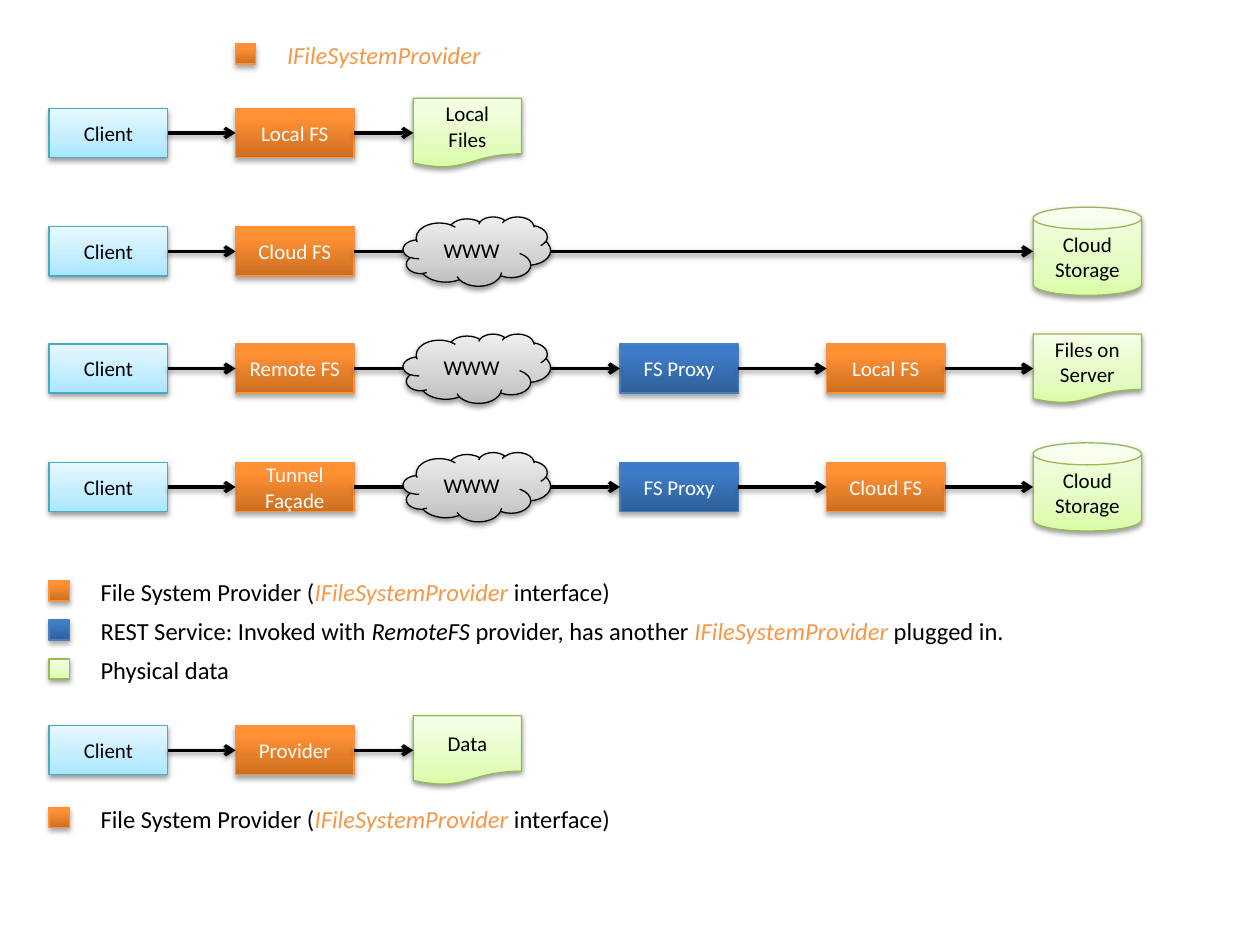
from lxml import etree
from pptx import Presentation
from pptx.dml.color import RGBColor
from pptx.enum.shapes import MSO_CONNECTOR, MSO_SHAPE
from pptx.enum.text import MSO_ANCHOR, MSO_AUTO_SIZE, PP_ALIGN
from pptx.oxml.ns import qn
from pptx.util import Inches, Pt

RECT = MSO_SHAPE.RECTANGLE
CAN = MSO_SHAPE.CAN
DOCUMENT = MSO_SHAPE.FLOWCHART_DOCUMENT
CLOUD = MSO_SHAPE.CLOUD
STRAIGHT = MSO_CONNECTOR.STRAIGHT
MIDDLE = MSO_ANCHOR.MIDDLE
CENTER = PP_ALIGN.CENTER
FIT_SHAPE = MSO_AUTO_SIZE.SHAPE_TO_FIT_TEXT
LEFT_SIDE, RIGHT_SIDE = 1, 3

FONT = "Calibri"
BLACK, WHITE, ORANGE = "000000", "FFFFFF", "F79646"
SOFT_SHADOW, STRONG_SHADOW = (38, 1.6), (35, 1.8)  # opacity %, distance pt

# role: gradient stops (bottom to top), outline, text colour, shadow
ROLES = {
    "client": ([(0, "A7E6FF"), (35, "C1EDFF"), (100, "E7F8FF")], "46AAC5", BLACK, SOFT_SHADOW),
    "provider": ([(0, "CC6E20"), (80, "FF9034"), (100, "FF9136")], "F69240", WHITE, STRONG_SHADOW),
    "service": ([(0, "2F5F99"), (80, "3D7CC7"), (100, "3A7CCB")], "4B7EBC", WHITE, STRONG_SHADOW),
    "data": ([(0, "DAFDA7"), (35, "E4FCC2"), (100, "F5FFE7")], "98B955", BLACK, SOFT_SHADOW),
    "network": ([(0, "BDBDBD"), (35, "D1D1D1"), (100, "EEEEEE")], BLACK, BLACK, SOFT_SHADOW),
}
SIZES = {RECT: (0.94, 0.39), CAN: (0.86, 0.7), DOCUMENT: (0.86, 0.55), CLOUD: (1.17, 0.55)}

# Columns
CLIENT_X, PROVIDER_X, NEAR_DATA_X = 0.39, 1.87, 3.28
CLOUD_X, PROXY_X, REMOTE_X, FAR_DATA_X = 3.2, 4.92, 6.56, 8.2


def color(hex_code):
    return RGBColor.from_string(hex_code)


class Diagram:
    def __init__(self, slide):
        self.slide = slide

    def add_shadow(self, properties, opacity, distance):
        effects = properties.find(qn("a:effectLst"))
        if effects is None:
            effects = etree.SubElement(properties, qn("a:effectLst"))
        shadow = etree.SubElement(
            effects, qn("a:outerShdw"), blurRad=str(Pt(3.1)), dist=str(Pt(distance)),
            dir="5400000", rotWithShape="0")
        tint = etree.SubElement(shadow, qn("a:srgbClr"), val=BLACK)
        etree.SubElement(tint, qn("a:alpha"), val=str(opacity * 1000))

    def block(self, role, kind, left, top, width, height, label=""):
        stops, outline, text_color, shadow = ROLES[role]
        shape = self.slide.shapes.add_shape(
            kind, Inches(left), Inches(top), Inches(width), Inches(height))
        shape.fill.gradient()
        shape.fill.gradient_angle = 90
        properties = shape._element.spPr
        stop_list = properties.find(".//" + qn("a:gsLst"))
        stop_list[:] = []
        for position, hex_code in stops:
            stop = etree.SubElement(stop_list, qn("a:gs"), pos=str(position * 1000))
            etree.SubElement(stop, qn("a:srgbClr"), val=hex_code)
        shape.line.color.rgb = color(outline)
        shape.line.width = Pt(0.75)
        shape.shadow.inherit = False
        self.add_shadow(properties, *shadow)
        if label:
            frame = shape.text_frame
            frame.word_wrap = True
            frame.vertical_anchor = MIDDLE
            paragraph = frame.paragraphs[0]
            paragraph.text = label
            paragraph.alignment = CENTER
            font = paragraph.font
            font.name, font.size = FONT, Pt(12)
            font.color.rgb = color(text_color)
        return shape

    def node(self, role, kind, left, middle, label):
        width, height = SIZES[kind]
        return self.block(role, kind, left, middle - height / 2, width, height, label)

    def arrow(self, start, end):
        y = start.top + start.height // 2
        connector = self.slide.shapes.add_connector(
            STRAIGHT, start.left + start.width, y, end.left, y)
        connector.begin_connect(start, RIGHT_SIDE)
        if end.auto_shape_type == RECT:
            connector.end_connect(end, LEFT_SIDE)
        connector.line.color.rgb = color(BLACK)
        connector.line.width = Pt(2)
        properties = connector._element.spPr
        etree.SubElement(properties.find(qn("a:ln")), qn("a:tailEnd"), type="arrow")
        self.add_shadow(properties, *SOFT_SHADOW)

    def flow(self, top, steps, through_cloud=False):
        middle = top + SIZES[RECT][1] / 2
        nodes = [self.node(role, kind, left, middle, label)
                 for role, kind, left, label in steps]
        for start, end in zip(nodes, nodes[1:]):
            self.arrow(start, end)
        if through_cloud:
            self.node("network", CLOUD, CLOUD_X, middle, "WWW")

    def legend(self, role, left, top, runs, width=4.3):
        self.block(role, RECT, left, top, 0.16, 0.16)
        box = self.slide.shapes.add_textbox(
            Inches(left + 0.31), Inches(top - 0.08), Inches(width), Inches(0.34))
        frame = box.text_frame
        frame.word_wrap = True
        frame.auto_size = FIT_SHAPE
        paragraph = frame.paragraphs[0]
        paragraph.font.name, paragraph.font.size = FONT, Pt(14)
        for text, hex_code, italic in runs:
            run = paragraph.add_run()
            run.text = text
            run.font.color.rgb = color(hex_code)
            run.font.italic = italic


def client():
    return "client", RECT, CLIENT_X, "Client"


def provider(label, left=PROVIDER_X):
    return "provider", RECT, left, label


def proxy():
    return "service", RECT, PROXY_X, "FS Proxy"


def data(kind, left, label):
    return "data", kind, left, label


def main():
    presentation = Presentation()
    presentation.slide_width, presentation.slide_height = Inches(10), Inches(7.5)
    diagram = Diagram(presentation.slides.add_slide(presentation.slide_layouts[6]))

    interface = ("IFileSystemProvider", ORANGE, True)
    provider_note = [("File System Provider (", BLACK, False), interface,
                     (" interface)", BLACK, False)]
    cloud_storage = data(CAN, FAR_DATA_X, "Cloud Storage")

    # Four ways to reach the files
    diagram.flow(0.86, [client(), provider("Local FS"),
                        data(DOCUMENT, NEAR_DATA_X, "Local Files")])
    diagram.flow(1.8, [client(), provider("Cloud FS"), cloud_storage], through_cloud=True)
    diagram.flow(2.73, [client(), provider("Remote FS"), proxy(),
                        provider("Local FS", REMOTE_X),
                        data(DOCUMENT, FAR_DATA_X, "Files on Server")], through_cloud=True)
    diagram.flow(3.67, [client(), provider("Tunnel Façade"), proxy(),
                        provider("Cloud FS", REMOTE_X), cloud_storage], through_cloud=True)

    # Legends
    diagram.legend("provider", PROVIDER_X, 0.35, [interface])
    diagram.legend("provider", CLIENT_X, 4.61, provider_note)
    diagram.legend("service", CLIENT_X, 4.92, [
        ("REST Service: Invoked with ", BLACK, False), ("RemoteFS", BLACK, True),
        (" provider, has another ", BLACK, False), interface,
        (" plugged in.", BLACK, False)], width=8.44)
    diagram.legend("data", CLIENT_X, 5.23, [("Physical data", BLACK, False)])

    # General pattern
    diagram.flow(5.76, [client(), provider("Provider"), data(DOCUMENT, NEAR_DATA_X, "Data")])
    diagram.legend("provider", CLIENT_X, 6.41, provider_note)

    presentation.save("out.pptx")


if __name__ == "__main__":
    main()
